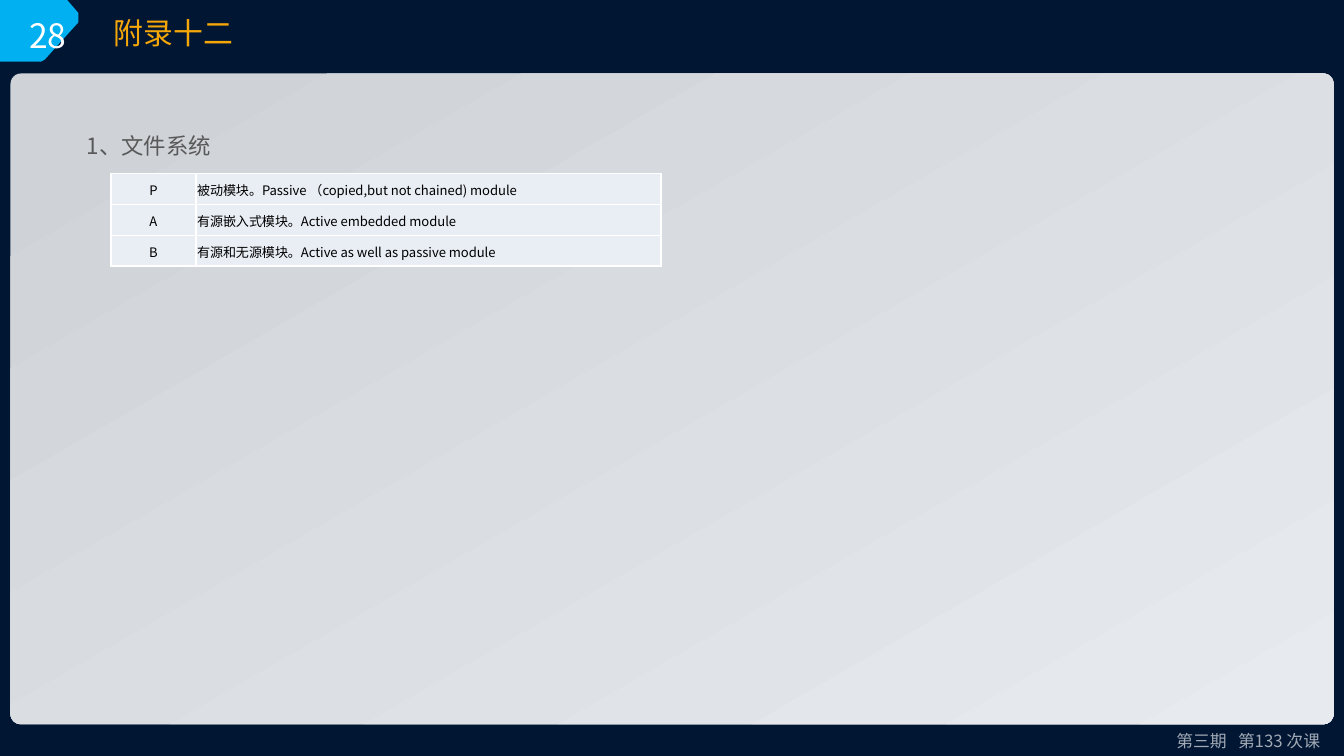
from lxml.etree import SubElement
from pptx import Presentation
from pptx.dml.color import RGBColor
from pptx.enum.shapes import MSO_SHAPE as Shape
from pptx.enum.text import MSO_ANCHOR as Anchor, MSO_AUTO_SIZE as AutoSize, PP_ALIGN as Align
from pptx.oxml.ns import qn
from pptx.util import Pt

NAVY = RGBColor(0x00, 0x16, 0x33)
CYAN = RGBColor(0x00, 0xB0, 0xF0)
ORANGE = RGBColor(0xF5, 0xA6, 0x09)
WHITE = RGBColor(0xFF, 0xFF, 0xFF)
BLACK = RGBColor(0x00, 0x00, 0x00)
GRAY = RGBColor(0x59, 0x59, 0x59)
FOOTER_GRAY = RGBColor(0xA1, 0xA9, 0xB4)
PANEL_START = RGBColor(0xCF, 0xD3, 0xD8)
PANEL_END = RGBColor(0xE7, 0xEA, 0xEE)
CELL_FILL = RGBColor(0xE9, 0xED, 0xF4)
FONT = "Noto Sans CJK SC"

TAB_OUTLINE = [(35.5, 0), (41.8, 7), (42.3, 8.2), (42.5, 9.5), (42.3, 10.8), (41.8, 11.6),
               (24.5, 31.6), (23.6, 32.4), (22.2, 33), (20.2, 33.2), (0, 33.2)]
MODULES = [("P", "被动模块。Passive （copied,but not chained) module"),
           ("A", "有源嵌入式模块。Active embedded module"),
           ("B", "有源和无源模块。Active as well as passive module")]


class Deck:
    def __init__(self, width, height):
        self.prs = Presentation()
        self.prs.slide_width, self.prs.slide_height = Pt(width), Pt(height)
        self.s = self.prs.slides.add_slide(self.prs.slide_layouts[5])
        fill = self.s.background.fill
        fill.solid()
        fill.fore_color.rgb = NAVY

    def put_text(self, tf, text, size, color, align=Align.LEFT, spacing=None):
        p = tf.paragraphs[0]
        p.alignment = align
        if spacing:
            p.line_spacing = spacing
        r = p.add_run()
        r.text = text
        for name, value in {"size": Pt(size), "name": FONT, "bold": False}.items():
            setattr(r.font, name, value)
        r.font.color.rgb = color
        SubElement(r.font._element, qn("a:ea"), typeface=FONT)

    def place(self, sp, box, text, size, color, **fmt):
        sp.left, sp.top, sp.width, sp.height = map(Pt, box)
        tf = sp.text_frame
        frame = {"word_wrap": True, "auto_size": AutoSize.NONE, "vertical_anchor": Anchor.TOP}
        for name, value in frame.items():
            setattr(tf, name, value)
        self.put_text(tf, text, size, color, **fmt)

    def title(self, box, text, size, color):
        self.place(self.s.shapes.title, box, text, size, color)

    def text(self, box, text, size, color, **fmt):
        sp = self.s.shapes.add_textbox(*map(Pt, box))
        self.place(sp, box, text, size, color, **fmt)

    def tab(self, points, color):
        builder = self.s.shapes.build_freeform(0, 0, scale=Pt(1))
        builder.add_line_segments(points, close=True)
        sp = builder.convert_to_shape()
        sp.shadow.inherit = False
        sp.fill.solid()
        sp.fill.fore_color.rgb = color
        sp.line.fill.background()

    def panel(self, box, radius, start, end):
        sp = self.s.shapes.add_shape(Shape.ROUNDED_RECTANGLE, *map(Pt, box))
        sp.adjustments[0] = radius
        sp.shadow.inherit = False
        sp.line.fill.background()
        sp.fill.gradient()
        sp.fill.gradient_angle = 300
        for stop, position, color in zip(sp.fill.gradient_stops, (0.05, 1), (start, end)):
            stop.position = position
            stop.color.rgb = color

    def borders(self, cell, color, width):
        tcPr = cell._tc.get_or_add_tcPr()
        for side in ("lnL", "lnR", "lnT", "lnB"):
            ln = SubElement(tcPr, qn(f"a:{side}"), w=str(Pt(width)))
            SubElement(SubElement(ln, qn("a:solidFill")), qn("a:srgbClr"), val=str(color))

    def table(self, left, top, widths, row_height, rows):
        frame = self.s.shapes.add_table(len(rows), len(widths), Pt(left), Pt(top),
                                        Pt(sum(widths)), Pt(row_height * len(rows)))
        table = frame.table
        table.first_row = table.horz_banding = False
        for column, width in zip(table.columns, widths):
            column.width = Pt(width)
        margins = {"margin_left": Pt(0.7), "margin_right": Pt(0.7), "margin_top": Pt(0.7),
                   "margin_bottom": 0, "vertical_anchor": Anchor.MIDDLE}
        for i, row in enumerate(rows):
            table.rows[i].height = Pt(row_height)
            for j, text in enumerate(row):
                cell = table.cell(i, j)
                for name, value in margins.items():
                    setattr(cell, name, value)
                self.borders(cell, WHITE, 1)
                cell.fill.solid()
                cell.fill.fore_color.rgb = CELL_FILL
                self.put_text(cell.text_frame, text, 7, BLACK, Align.LEFT if j else Align.CENTER)


def main():
    deck = Deck(720, 405)
    deck.tab(TAB_OUTLINE, CYAN)
    deck.panel((5.6, 39.4, 708.8, 348.6), 0.016, PANEL_START, PANEL_END)
    deck.text((586.8, 388, 127.5, 18), "第三期   第133 次课", 9, FOOTER_GRAY, align=Align.RIGHT)
    deck.text((8.6, 4.3, 36, 29), "28", 18, WHITE)
    deck.title((53.8, 4.1, 453.6, 26.6), "附录十二", 16, ORANGE)
    deck.text((39.4, 60, 607, 26), "1、文件系统", 12, GRAY, spacing=1.5)
    deck.table(59.5, 92.9, (45.4, 249.2), 16.6, MODULES)
    deck.prs.save("out.pptx")


if __name__ == "__main__":
    main()
